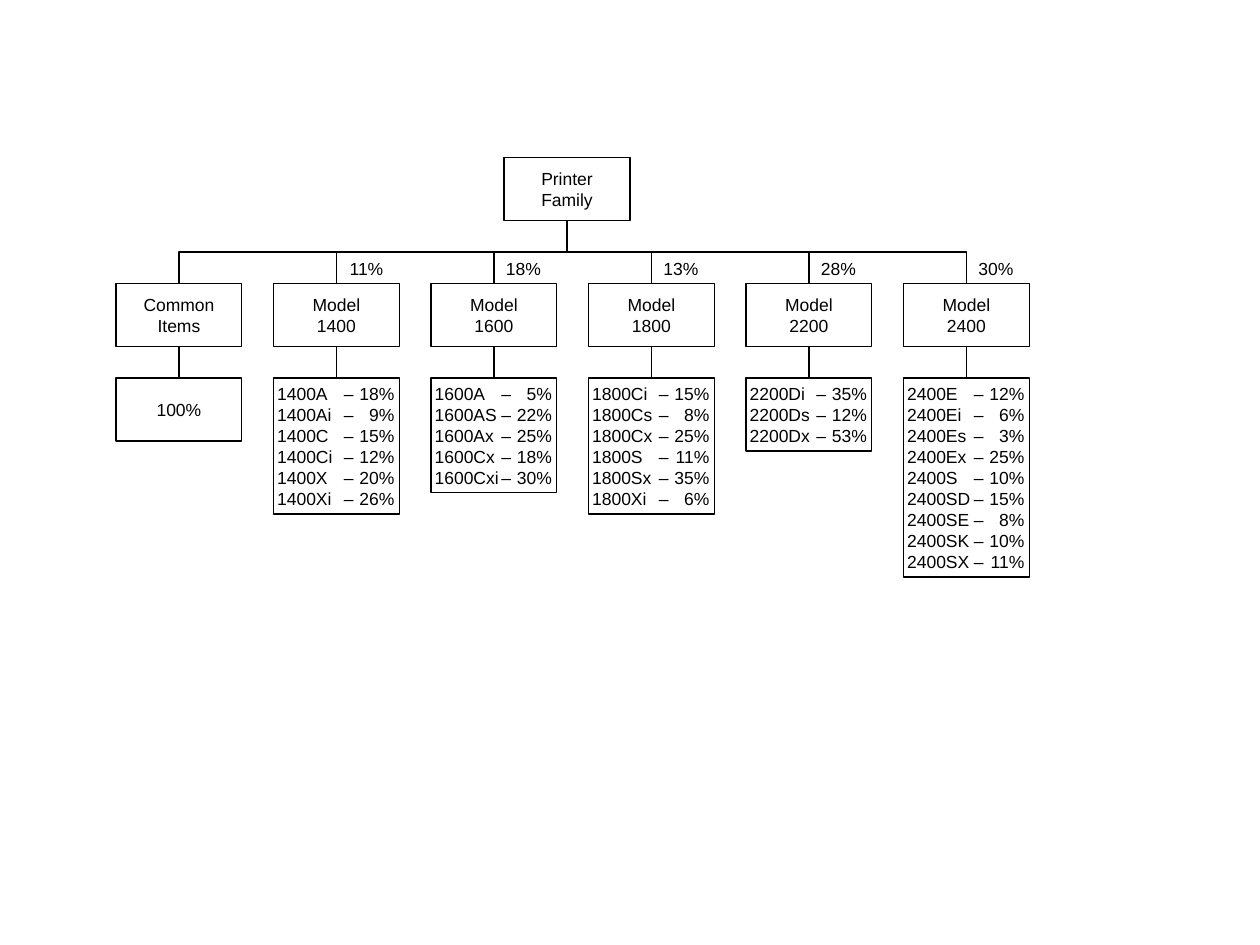
from lxml import etree
from pptx import Presentation
from pptx.dml.color import RGBColor
from pptx.enum.shapes import MSO_CONNECTOR, MSO_SHAPE
from pptx.enum.text import MSO_ANCHOR, MSO_AUTO_SIZE, PP_ALIGN
from pptx.oxml.ns import qn
from pptx.util import Inches, Pt

RECT = MSO_SHAPE.RECTANGLE
STRAIGHT, ELBOW = MSO_CONNECTOR.STRAIGHT, MSO_CONNECTOR.ELBOW
LEFT, CENTER, RIGHT = PP_ALIGN.LEFT, PP_ALIGN.CENTER, PP_ALIGN.RIGHT
MIDDLE = MSO_ANCHOR.MIDDLE
FIT_SHAPE = MSO_AUTO_SIZE.SHAPE_TO_FIT_TEXT

BLACK = "000000"
TOP, BOTTOM = 0, 2
BOX_W, BOX_H = 1, 0.5
FIRST_X, STEP_X = 0.92, 1.25
FAMILY_X, FAMILY_Y, MODEL_Y, LIST_Y, LABEL_Y = 4, 1.25, 2.25, 3, 2
LIST_INSET, DASH_STOP, SHARE_STOP = 0.03, 0.53, 0.93

MODELS = [
    ("1400", "11%", [("1400A", "18%"), ("1400Ai", "9%"), ("1400C", "15%"),
                     ("1400Ci", "12%"), ("1400X", "20%"), ("1400Xi", "26%")]),
    ("1600", "18%", [("1600A", "5%"), ("1600AS", "22%"), ("1600Ax", "25%"),
                     ("1600Cx", "18%"), ("1600Cxi", "30%")]),
    ("1800", "13%", [("1800Ci", "15%"), ("1800Cs", "8%"), ("1800Cx", "25%"),
                     ("1800S", "11%"), ("1800Sx", "35%"), ("1800Xi", "6%")]),
    ("2200", "28%", [("2200Di", "35%"), ("2200Ds", "12%"), ("2200Dx", "53%")]),
    ("2400", "30%", [("2400E", "12%"), ("2400Ei", "6%"), ("2400Es", "3%"),
                     ("2400Ex", "25%"), ("2400S", "10%"), ("2400SD", "15%"),
                     ("2400SE", "8%"), ("2400SK", "10%"), ("2400SX", "11%")]),
]


def color(value):
    return RGBColor.from_string(value)


def set_text(tf, text, align):
    tf.text = text
    for p in tf.paragraphs:
        p.alignment = align
        p.font.name = "Arial"
        p.font.size = Pt(10)
        p.font.color.rgb = color(BLACK)


def style_line(line):
    line.color.rgb = color(BLACK)
    line.width = Pt(0.75)


def add_box(slide, x, y, text, height=BOX_H, align=CENTER):
    sp = slide.shapes.add_shape(RECT, Inches(x), Inches(y), Inches(BOX_W), Inches(height))
    sp.shadow.inherit = False
    sp.fill.background()
    style_line(sp.line)
    tf = sp.text_frame
    tf.word_wrap = False
    tf.vertical_anchor = MIDDLE
    set_text(tf, text, align)
    return sp


def add_tab_stops(p):
    tabs = etree.SubElement(p._p.get_or_add_pPr(), qn("a:tabLst"))
    for pos, align in ((DASH_STOP, "l"), (SHARE_STOP, "r")):
        etree.SubElement(tabs, qn("a:tab"), pos=str(Inches(pos)), algn=align)
    def_rpr = p._p.pPr.find(qn("a:defRPr"))
    if def_rpr is not None:
        def_rpr.addprevious(tabs)


def add_variant_list(slide, x, variants):
    text = "\n".join(f"{name}\t–\t{share}" for name, share in variants)
    sp = add_box(slide, x, LIST_Y, text, round(len(variants) / 6 + 0.08, 2), LEFT)
    tf = sp.text_frame
    tf.word_wrap = True
    tf.margin_left = Inches(LIST_INSET)
    tf.margin_right = 0
    for p in tf.paragraphs:
        add_tab_stops(p)
    return sp


def add_label(slide, x, text):
    tb = slide.shapes.add_textbox(Inches(x), Inches(LABEL_Y), Inches(0.47), Inches(0.27))
    tf = tb.text_frame
    tf.word_wrap = True
    tf.auto_size = FIT_SHAPE
    tf.margin_left = 0
    set_text(tf, text, RIGHT)


def connect(slide, kind, upper, lower):
    c = slide.shapes.add_connector(kind, 0, 0, 0, 0)
    c.begin_connect(upper, BOTTOM)
    c.end_connect(lower, TOP)
    style_line(c.line)
    etree.SubElement(c._element.spPr, qn("a:effectLst"))
    return c


def add_branch(slide, upper, lower):
    c = connect(slide, ELBOW, upper, lower)
    to_right = c.end_x > c.begin_x
    mid_x, mid_y = (c.begin_x + c.end_x) // 2, (c.begin_y + c.end_y) // 2
    width, height = c.height, c.width
    c.left, c.top = mid_x - width // 2, mid_y - height // 2
    c.width, c.height = width, height
    c.rotation = 270 if to_right else 90
    c._element.spPr.xfrm.flipH = to_right


def add_column(slide, family, x, heading):
    box = add_box(slide, x, MODEL_Y, heading)
    add_branch(slide, family, box)
    return box


def main():
    prs = Presentation()
    prs.slide_width, prs.slide_height = Inches(10), Inches(7.5)
    slide = prs.slides.add_slide(prs.slide_layouts[6])

    family = add_box(slide, FAMILY_X, FAMILY_Y, "Printer\vFamily")
    common = add_column(slide, family, FIRST_X, "Common\vItems")
    connect(slide, STRAIGHT, common, add_box(slide, FIRST_X, LIST_Y, "100%"))

    for i, (model, share, variants) in enumerate(MODELS, start=1):
        x = FIRST_X + i * STEP_X
        box = add_column(slide, family, x, f"Model\v{model}")
        connect(slide, STRAIGHT, box, add_variant_list(slide, x, variants))
        add_label(slide, x + BOX_W / 2, share)

    prs.save("out.pptx")


if __name__ == "__main__":
    main()
